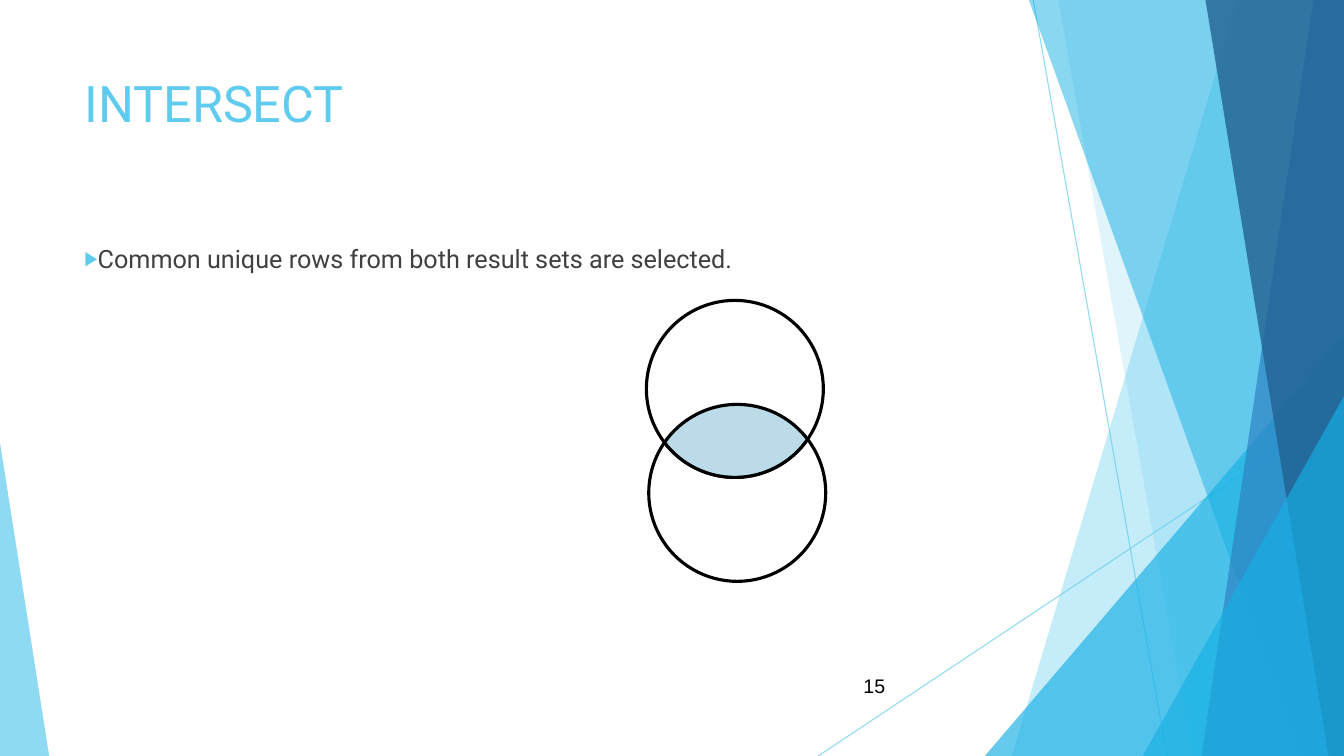
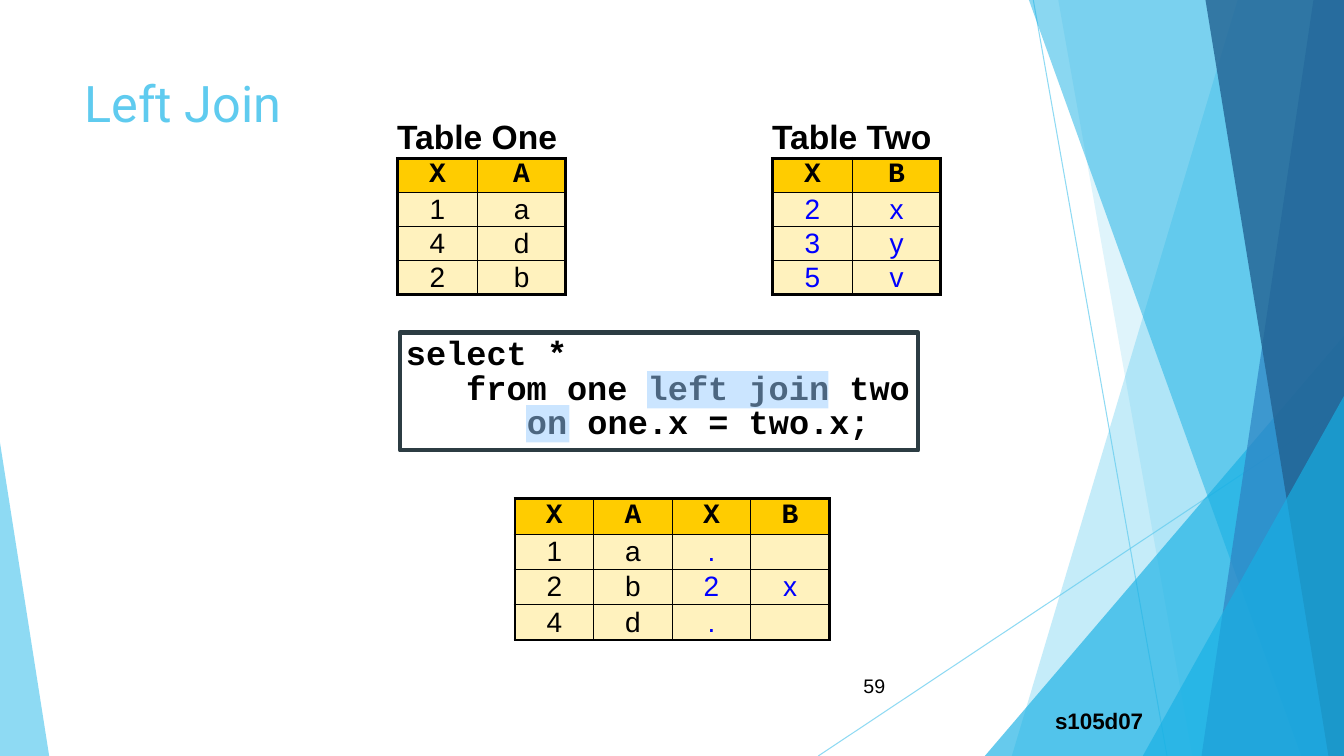
"""Build two SQL slides, on INTERSECT and Left Join, with a shared faceted frame."""
from dataclasses import dataclass
from math import acos, atan2, cos, hypot, pi, sin

from lxml.etree import SubElement
from pptx import Presentation
from pptx.dml.color import RGBColor
from pptx.enum.shapes import MSO_CONNECTOR, MSO_SHAPE
from pptx.enum.text import MSO_ANCHOR, PP_ALIGN
from pptx.oxml.ns import qn
from pptx.util import Cm, Pt


@dataclass(frozen=True)
class Theme:
    sky: str = "5FCBEF"
    cyan: str = "17B0E4"
    blue: str = "2E83C3"
    navy: str = "226292"
    body: str = "404040"
    ink: str = "000000"
    paper: str = "FFFFFF"
    lens: str = "A9D3E1"
    frame: str = "2C3C43"
    header: str = "FFCC00"
    row: str = "FFF2BE"
    right_table: str = "0000FF"
    highlight: str = "99CCFF"
    heading_font: str = "Roboto"
    plain_font: str = "Arial"
    code_font: str = "Courier New"
    title_size: int = 36
    code_size: int = 24
    cell_size: int = 20
    body_size: int = 18
    label_size: int = 16
    number_size: int = 14
    thin: float = 0.75
    inner: float = 1
    outer: float = 2.25
    heavy: float = 3


theme = Theme()
WIDTH, HEIGHT = 33.87, 19.05


def write_text(frame, text, *, size, font=theme.plain_font, colour=theme.ink, bold=False,
               align=PP_ALIGN.LEFT, spacing=1.0, indents=()):
    frame.word_wrap = True
    for number, line in enumerate(text.split("\n")):
        para = frame.paragraphs[0] if number == 0 else frame.add_paragraph()
        para.alignment = align
        para.line_spacing = spacing
        if indents:
            para._p.get_or_add_pPr().set("marL", str(Cm(indents[number])))
        span = para.add_run()
        span.text = line
        span.font.size = Pt(size)
        span.font.name = font
        span.font.bold = bold
        span.font.color.rgb = RGBColor.from_string(colour)


def paint(shape, fill=None, alpha=100, line=None, weight=theme.outer):
    if fill:
        shape.fill.solid()
        shape.fill.fore_color.rgb = RGBColor.from_string(fill)
    elif hasattr(shape, "fill"):
        shape.fill.background()
    if line:
        shape.line.color.rgb = RGBColor.from_string(line)
        shape.line.width = Pt(weight)
    else:
        shape.line.fill.background()
    properties = shape._element.spPr
    if alpha < 100:
        first_colour = next(properties.iter(qn("a:srgbClr")))
        SubElement(first_colour, qn("a:alpha")).set("val", str(alpha * 1000))
    SubElement(properties, qn("a:effectLst"))


deck = Presentation()
deck.slide_width, deck.slide_height = Cm(WIDTH), Cm(HEIGHT)

rays = [(26.04, 0, 29.41, HEIGHT), (WIDTH, 10.24, 20.62, HEIGHT)]
facets = [
    ("pane", 31.19, 25.5, theme.sky, 36),
    ("pane", 26.67, 30.05, theme.sky, 20),
    ("wedge", 24.82, 8.46, theme.cyan, 66),
    ("pane", 25.93, 32.79, theme.cyan, 50),
    ("pane", 33.1, 30.28, theme.blue, 70),
    ("pane", 30.38, 33.48, theme.navy, 80),
    ("wedge", 28.8, 9.98, theme.cyan, 66),
]
pages = []
for title, page_number in [("INTERSECT", "15"), ("Left Join", "59")]:
    page = deck.slides.add_slide(deck.slide_layouts[6])
    pages.append(page)
    for ray in rays:
        connector = page.shapes.add_connector(MSO_CONNECTOR.STRAIGHT, *map(Cm, ray))
        paint(connector, alpha=70, line=theme.sky, weight=theme.thin)
    for kind, first, second, colour, alpha in facets:
        if kind == "pane":
            builder = page.shapes.build_freeform(Cm(first), 0)
            corners = [(WIDTH, 0), (WIDTH, HEIGHT), (second, HEIGHT)]
            builder.add_line_segments([(Cm(x), Cm(y)) for x, y in corners])
            facet = builder.convert_to_shape()
        else:
            facet = page.shapes.add_shape(MSO_SHAPE.ISOSCELES_TRIANGLE, Cm(first), Cm(second),
                                          Cm(WIDTH - first), Cm(HEIGHT - second))
            facet.adjustments[0] = 1
        paint(facet, colour, alpha)
    left_wedge = page.shapes.add_shape(MSO_SHAPE.ISOSCELES_TRIANGLE, 0, Cm(11.15),
                                       Cm(1.24), Cm(HEIGHT - 11.15))
    left_wedge.adjustments[0] = 0
    paint(left_wedge, theme.sky, 70)

    title_box = page.shapes.add_textbox(Cm(1.88), Cm(1.7), Cm(23.88), Cm(3.66))
    write_text(title_box.text_frame, title, size=theme.title_size,
               font=theme.heading_font, colour=theme.sky)
    number_box = page.shapes.add_textbox(Cm(20.02), Cm(16.77), Cm(2.54), Cm(1.02))
    number_box.text_frame.vertical_anchor = MSO_ANCHOR.MIDDLE
    write_text(number_box.text_frame, page_number, size=theme.number_size, align=PP_ALIGN.RIGHT)

intersect_page, join_page = pages

body_box = intersect_page.shapes.add_textbox(Cm(1.88), Cm(6.01), Cm(23.88), Cm(10.77))
write_text(body_box.text_frame, "Common unique rows from both result sets are selected.",
           size=theme.body_size, font=theme.heading_font, colour=theme.body)
bullet = body_box.text_frame.paragraphs[0]._p.get_or_add_pPr()
bullet.set("marL", "0")
bullet.set("indent", "0")
SubElement(SubElement(bullet, qn("a:buClr")), qn("a:srgbClr")).set("val", theme.sky)
SubElement(bullet, qn("a:buSzPct")).set("val", "80000")
SubElement(bullet, qn("a:buFont")).set("typeface", theme.plain_font)
SubElement(bullet, qn("a:buChar")).set("char", "▶")

radius = 2.23
upper, lower = (18.52, 9.8), (18.58, 12.42)
circles = [
    (lower, theme.paper, 100, theme.ink),
    (upper, theme.paper, 80, None),
    (upper, None, 100, theme.ink),
]
for (x, y), fill, alpha, line in circles:
    circle = intersect_page.shapes.add_shape(MSO_SHAPE.OVAL, Cm(x - radius), Cm(y - radius),
                                             Cm(2 * radius), Cm(2 * radius))
    paint(circle, fill, alpha, line)

across, down = lower[0] - upper[0], lower[1] - upper[1]
heading = atan2(down, across)
half_angle = acos(hypot(across, down) / 2 / radius)
steps = 32
lens_points = []
for (x, y), middle in [(upper, heading), (lower, heading + pi)]:
    for step in range(steps):
        angle = middle + half_angle * (2 * step / steps - 1)
        lens_points.append((Cm(x + radius * cos(angle)), Cm(y + radius * sin(angle))))
builder = intersect_page.shapes.build_freeform(*lens_points[0])
builder.add_line_segments(lens_points[1:])
paint(builder.convert_to_shape(), theme.lens, 80, theme.ink)

code_box = join_page.shapes.add_shape(MSO_SHAPE.RECTANGLE, Cm(10.08), Cm(8.38), Cm(13.06), Cm(2.97))
paint(code_box, theme.paper, line=theme.frame, weight=theme.heavy)
code_frame = code_box.text_frame
code_frame.vertical_anchor = MSO_ANCHOR.TOP
code_frame.margin_left = code_frame.margin_right = Cm(0.15)
code_frame.margin_top = code_frame.margin_bottom = Cm(0.15)
write_text(code_frame, "select *\nfrom one left join two\non one.x = two.x;",
           size=theme.code_size, font=theme.code_font, bold=True, spacing=0.85,
           indents=(0, 1.52, 3.05))

tables = [
    ("Table One", 10.01, 2.97, (2.03, 2.21), 1.02, 0.86, (), ["XA", "1a", "4d", "2b"]),
    ("Table Two", 19.46, 2.97, (2.03, 2.21), 1.02, 0.86, (0, 1), ["XB", "2x", "3y", "5v"]),
    ("", 12.98, 11.53, (1.98,) * 4, 1.04, 0.89, (2, 3), ["XAXB", "1a. ", "2b2x", "4d. "]),
]
for caption, left, top, widths, caption_height, row_height, blue_columns, records in tables:
    heights = [caption_height] + [row_height] * len(records)
    last_row, last_column = len(records), len(widths) - 1
    table = join_page.shapes.add_table(len(heights), len(widths), Cm(left), Cm(top),
                                       Cm(sum(widths)), Cm(sum(heights))).table
    table.first_row = table.horz_banding = False
    for column, width in zip(table.columns, widths):
        column.width = Cm(width)
    for row, height in zip(table.rows, heights):
        row.height = Cm(height)
    table.cell(0, 0).merge(table.cell(0, last_column))

    for row in range(len(heights)):
        for column in range(len(widths)):
            cell = table.cell(row, column)
            cell.vertical_anchor = MSO_ANCHOR.MIDDLE
            cell.margin_top = cell.margin_bottom = 0
            cell.margin_left = cell.margin_right = Cm(0.25 if row else 0)
            on_edge = {"lnL": column == 0, "lnR": column == last_column,
                       "lnT": row == 1, "lnB": row in (0, last_row)}
            for side, outer in on_edge.items():
                weight = theme.outer if outer else theme.inner
                border = SubElement(cell._tc.get_or_add_tcPr(), qn("a:" + side))
                border.set("w", str(Pt(weight)))
                if row == 0 and side != "lnB":
                    SubElement(border, qn("a:noFill"))
                else:
                    ink = SubElement(border, qn("a:solidFill"))
                    SubElement(ink, qn("a:srgbClr")).set("val", theme.ink)
            if row == 0:
                cell.fill.background()
                if caption and column == 0:
                    write_text(cell.text_frame, caption, size=theme.code_size, bold=True)
                continue
            is_header = row == 1
            cell.fill.solid()
            cell.fill.fore_color.rgb = RGBColor.from_string(theme.header if is_header else theme.row)
            value = records[row - 1][column].strip()
            if value:
                is_blue = column in blue_columns and not is_header
                write_text(cell.text_frame, value, size=theme.cell_size, bold=is_header,
                           font=theme.code_font if is_header else theme.plain_font,
                           colour=theme.right_table if is_blue else theme.ink,
                           align=PP_ALIGN.CENTER)

label_box = join_page.shapes.add_textbox(Cm(26.34), Cm(17.58), Cm(2.72), Cm(1.17))
label_frame = label_box.text_frame
label_frame.margin_left = 0
label_frame.margin_top = label_frame.margin_bottom = Cm(0.25)
write_text(label_frame, "s105d07", size=theme.label_size, bold=True, align=PP_ALIGN.RIGHT)

for left, top, width in [(16.31, 9.35, 4.57), (13.26, 10.21, 1.09)]:
    highlight = join_page.shapes.add_shape(MSO_SHAPE.RECTANGLE, Cm(left), Cm(top), Cm(width), Cm(0.94))
    paint(highlight, theme.highlight, 50)

deck.save("out.pptx")
